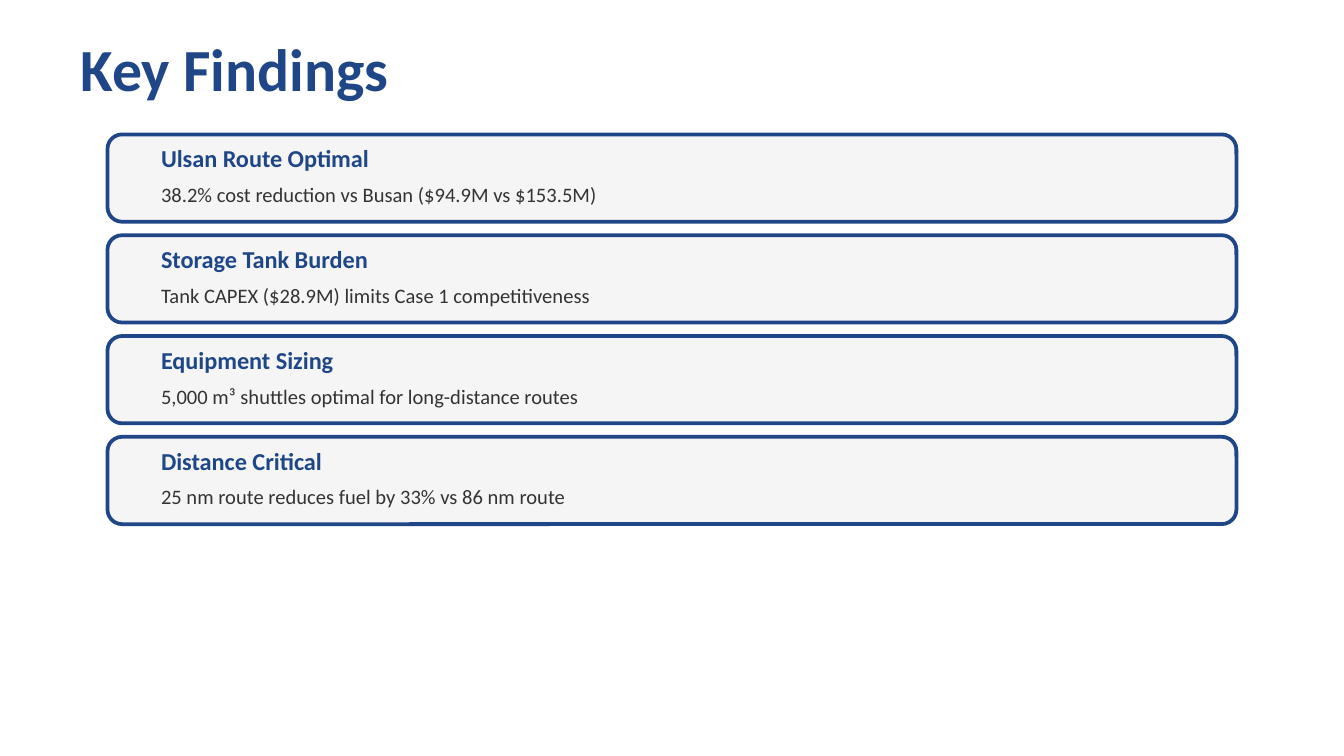
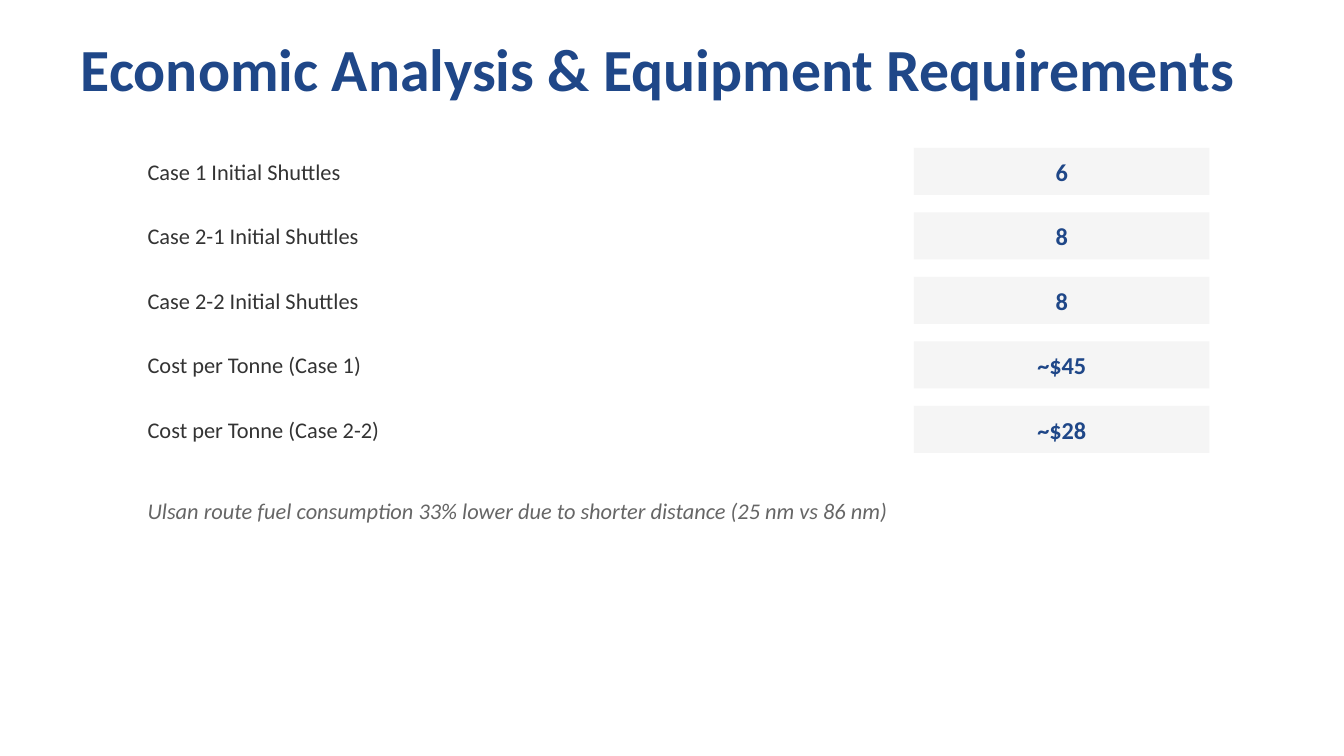
import pptx
import pptx.dml.color
import pptx.enum.shapes
import pptx.enum.text
import pptx.util

Inches = pptx.util.Inches
ALIGN = pptx.enum.text.PP_ALIGN
SHAPE = pptx.enum.shapes.MSO_SHAPE

FONT = "Calibri"
COLORS = {
    "background": "FFFFFF",
    "navy": "1F4788",
    "panel": "F5F5F5",
    "text": "333333",
    "note": "666666",
}

FINDINGS = [
    ("Ulsan Route Optimal", "38.2% cost reduction vs Busan ($94.9M vs $153.5M)"),
    ("Storage Tank Burden", "Tank CAPEX ($28.9M) limits Case 1 competitiveness"),
    ("Equipment Sizing", "5,000 m³ shuttles optimal for long-distance routes"),
    ("Distance Critical", "25 nm route reduces fuel by 33% vs 86 nm route"),
]
METRICS = [
    ("Case 1 Initial Shuttles", "6"),
    ("Case 2-1 Initial Shuttles", "8"),
    ("Case 2-2 Initial Shuttles", "8"),
    ("Cost per Tonne (Case 1)", "~$45"),
    ("Cost per Tonne (Case 2-2)", "~$28"),
]
FUEL_NOTE = "Ulsan route fuel consumption 33% lower due to shorter distance (25 nm vs 86 nm)"


def color(name):
    return pptx.dml.color.RGBColor.from_string(COLORS[name])


def write_text(shape, text, size, color_name, bold=False, italic=False, align=ALIGN.LEFT):
    """Fill a shape with one vertically centred, formatted paragraph."""
    frame = shape.text_frame
    frame.text = text
    frame.word_wrap = True
    frame.auto_size = pptx.enum.text.MSO_AUTO_SIZE.NONE
    frame.vertical_anchor = pptx.enum.text.MSO_ANCHOR.MIDDLE
    paragraph = frame.paragraphs[0]
    paragraph.alignment = align
    font = paragraph.runs[0].font
    font.name = FONT
    font.size = pptx.util.Pt(size)
    font.bold = bold
    font.italic = italic
    font.color.rgb = color(color_name)


def add_titled_slide(presentation, title):
    slide = presentation.slides.add_slide(presentation.slide_layouts[5])
    slide.background.fill.solid()
    slide.background.fill.fore_color.rgb = color("background")
    shape = slide.shapes.title
    shape.left, shape.top = Inches(0.5), Inches(0.3)
    shape.width, shape.height = Inches(9), Inches(0.4)
    write_text(shape, title, 32, "navy", bold=True)
    return slide


def add_label(slide, left, top, width, height, text, size, color_name, **style):
    box = slide.shapes.add_textbox(Inches(left), Inches(top), Inches(width), Inches(height))
    write_text(box, text, size, color_name, **style)


def add_panel(slide, kind, left, top, width, height):
    panel = slide.shapes.add_shape(
        kind, Inches(left), Inches(top), Inches(width), Inches(height))
    panel.shadow.inherit = False
    panel.fill.solid()
    panel.fill.fore_color.rgb = color("panel")
    panel.line.fill.background()
    return panel


def add_finding_card(slide, top, heading, detail):
    card = add_panel(slide, SHAPE.ROUNDED_RECTANGLE, 0.8, top, 8.4, 0.65)
    card.line.color.rgb = color("navy")
    card.line.width = pptx.util.Pt(2)
    add_label(slide, 1.1, top + 0.05, 7.8, 0.25, heading, 13, "navy", bold=True)
    add_label(slide, 1.1, top + 0.32, 7.8, 0.25, detail, 11, "text")


def add_metric_row(slide, top, label, value):
    add_label(slide, 1, top, 5.5, 0.35, label, 12, "text")
    panel = add_panel(slide, SHAPE.RECTANGLE, 6.8, top, 2.2, 0.35)
    write_text(panel, value, 13, "navy", bold=True, align=ALIGN.CENTER)


def add_findings_slide(presentation):
    slide = add_titled_slide(presentation, "Key Findings")
    for index, (heading, detail) in enumerate(FINDINGS):
        add_finding_card(slide, 1 + index * 0.75, heading, detail)


def add_economics_slide(presentation):
    slide = add_titled_slide(presentation, "Economic Analysis & Equipment Requirements")
    first_top, step = 1.1, 0.48
    for index, (label, value) in enumerate(METRICS):
        add_metric_row(slide, first_top + index * step, label, value)
    note_top = first_top + len(METRICS) * step
    add_label(slide, 1, note_top, 8, 0.6, FUEL_NOTE, 12, "note", italic=True)


def main():
    presentation = pptx.Presentation()
    presentation.slide_width = Inches(10)
    presentation.slide_height = Inches(10) * 9 // 16
    add_findings_slide(presentation)
    add_economics_slide(presentation)
    presentation.save("out.pptx")


if __name__ == "__main__":
    main()
